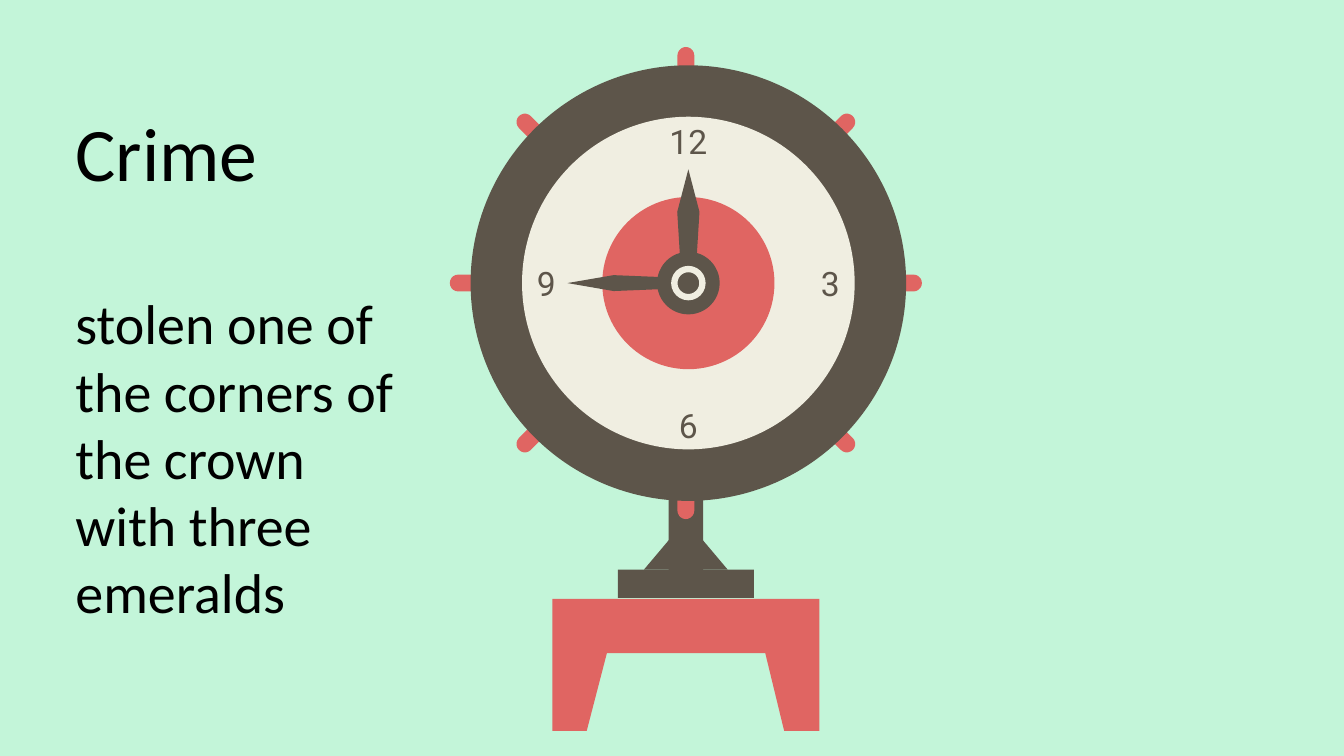
"""Build the Crime slide: a target-faced clock on a red stool beside a short text."""
from dataclasses import dataclass
from math import cos, pi, sin

from pptx import Presentation
from pptx.dml.color import RGBColor
from pptx.enum.shapes import MSO_SHAPE as Preset
from pptx.enum.text import PP_ALIGN as Align
from pptx.shapes.autoshape import Shape
from pptx.slide import Slide
from pptx.util import Inches, Pt

MINT = RGBColor(0xC3, 0xF5, 0xD9)
RED = RGBColor(0xE0, 0x65, 0x62)
BROWN = RGBColor(0x5D, 0x55, 0x4A)
CREAM = RGBColor(0xF0, 0xEE, 0xE1)
BLACK = RGBColor(0, 0, 0)

WIDTH, HEIGHT = Inches(13.33), Inches(7.5)
COLUMNS, ROWS = 32, 18
CENTRE_X, CENTRE_Y = 16.39, 6.74
AXIS_X = 16.33

Point = tuple[float, float]


@dataclass(frozen=True)
class Part:
    """A preset shape placed by its centre, in grid units."""
    preset: Preset
    x: float
    y: float
    width: float
    height: float
    color: RGBColor
    turn: float = 0


@dataclass(frozen=True)
class Numeral:
    """An hour on the dial, with its direction from the centre."""
    text: str
    across: int
    down: int


STAND = (
    Part(Preset.RECTANGLE, AXIS_X, 13.9, 3.24, 0.67, BROWN),
    Part(Preset.ISOSCELES_TRIANGLE, AXIS_X, 12.97, 1.99, 1.18, BROWN),
    Part(Preset.RECTANGLE, AXIS_X, 12.84, 0.82, 2.11, BROWN),
)
DISCS = tuple(
    Part(Preset.OVAL, CENTRE_X, CENTRE_Y, size, size, color)
    for size, color in ((10.37, BROWN), (7.92, CREAM), (4.1, RED), (1.49, BROWN))
)
HANDS = (
    Part(Preset.REGULAR_PENTAGON, CENTRE_X, CENTRE_Y - 1.38, 0.53, 2.66, BROWN),
    Part(Preset.REGULAR_PENTAGON, CENTRE_X - 1.44, CENTRE_Y, 0.38, 2.88, BROWN, 270),
)
PIN = Part(Preset.OVAL, CENTRE_X, CENTRE_Y, 0.67, 0.67, BROWN)
NUMERALS = (
    Numeral("12", 0, -1), Numeral("3", 1, 0), Numeral("6", 0, 1), Numeral("9", -1, 0),
)
NUMERAL_RADIUS = 3.38
STOOL: list[Point] = [
    (13.15, 14.26), (19.51, 14.26), (19.51, 17.4), (18.67, 17.4),
    (18.22, 15.55), (14.45, 15.55), (13.97, 17.4), (13.15, 17.4),
]


def across(columns: float) -> int:
    """Turn grid columns into a length."""
    return round(WIDTH * columns / COLUMNS)


def down(rows: float) -> int:
    """Turn grid rows into a length."""
    return round(HEIGHT * rows / ROWS)


def paint(shape: Shape, color: RGBColor) -> None:
    """Give a shape a flat fill without outline or shadow."""
    shape.shadow.inherit = False
    shape.fill.solid()
    shape.fill.fore_color.rgb = color
    shape.line.fill.background()


def add_part(page: Slide, part: Part) -> Shape:
    """Draw a preset shape around its centre."""
    shape = page.shapes.add_shape(
        part.preset, across(part.x - part.width / 2), down(part.y - part.height / 2),
        across(part.width), down(part.height))
    shape.rotation = part.turn
    paint(shape, part.color)
    return shape


def add_outline(page: Slide, points: list[Point], color: RGBColor) -> None:
    """Draw a closed outline through grid points."""
    places = [(across(x), down(y)) for x, y in points]
    builder = page.shapes.build_freeform(*places[0])
    builder.add_line_segments(places[1:], close=True)
    paint(builder.convert_to_shape(), color)


def spoke_points(arms: int = 8, reach: float = 5.62, half: float = 0.2,
                 steps: int = 10) -> list[Point]:
    """Trace a star of equal arms with round ends."""
    points: list[Point] = []
    notch = half / sin(pi / arms)
    for arm in range(arms):
        angle = 2 * pi * arm / arms
        tip_x = AXIS_X + (reach - half) * cos(angle)
        tip_y = CENTRE_Y + (reach - half) * sin(angle)
        for step in range(steps + 1):
            bend = angle - pi / 2 + pi * step / steps
            points.append((tip_x + half * cos(bend), tip_y + half * sin(bend)))
        gap = angle + pi / arms
        points.append((AXIS_X + notch * cos(gap), CENTRE_Y + notch * sin(gap)))
    return points


def add_text(page: Slide, x: float, y: float, width: float, height: float,
             lines: dict[str, int], font: str, color: RGBColor,
             align: Align = Align.LEFT, gap: int = 0) -> None:
    """Write sized lines in a wrapped box, with a gap between paragraphs."""
    box = page.shapes.add_textbox(across(x), down(y), across(width), down(height))
    frame = box.text_frame
    frame.word_wrap = True
    frame.text = "\n".join(lines)
    for index, (para, size) in enumerate(zip(frame.paragraphs, lines.values())):
        para.alignment = align
        if index:
            para.space_before = Pt(gap)
        for span in para.runs:
            span.font.name = font
            span.font.size = Pt(size)
            span.font.color.rgb = color


def add_numeral(page: Slide, numeral: Numeral) -> None:
    """Write an hour on the dial."""
    width, height = 1.49, 1.2
    add_text(page, CENTRE_X + NUMERAL_RADIUS * numeral.across - width / 2,
             CENTRE_Y + NUMERAL_RADIUS * numeral.down - height / 2,
             width, height, {numeral.text: 24}, "Roboto", BROWN, Align.CENTER)


def main() -> None:
    """Build and save the deck."""
    deck = Presentation()
    deck.slide_width, deck.slide_height = WIDTH, HEIGHT
    page = deck.slides.add_slide(deck.slide_layouts[6])
    page.background.fill.solid()
    page.background.fill.fore_color.rgb = MINT

    add_outline(page, STOOL, RED)
    for part in STAND:
        add_part(page, part)
    add_outline(page, spoke_points(), RED)
    for disc in DISCS:
        add_part(page, disc)
    for numeral in NUMERALS:
        add_numeral(page, numeral)
    for hand in HANDS:
        add_part(page, hand)
    pin = add_part(page, PIN)
    pin.line.color.rgb = CREAM
    pin.line.width = Pt(4.5)

    story = {
        "Crime": 54,
        "stolen one of the corners of the crown with three emeralds": 40,
    }
    add_text(page, 1.56, 2.4, 8.21, 14.3, story, "Calibri", BLACK, gap=66)
    deck.save("out.pptx")


if __name__ == "__main__":
    main()
